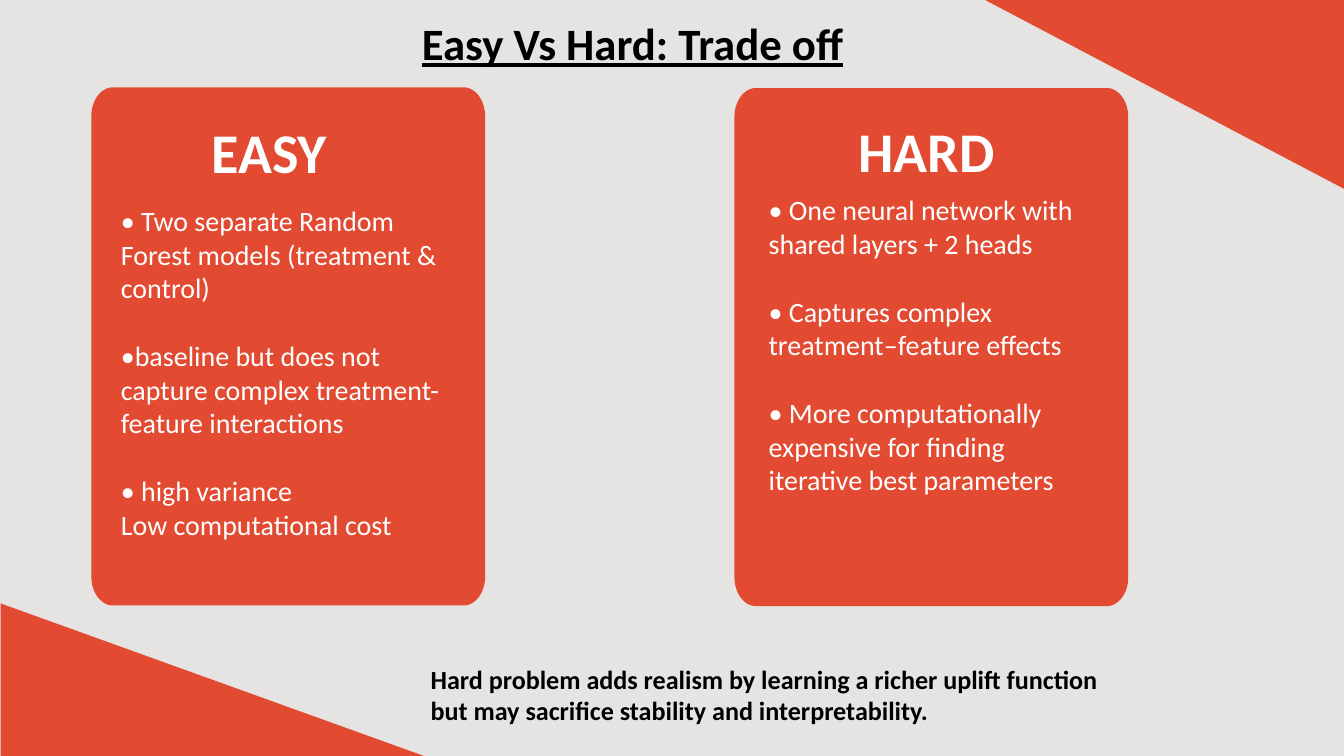
from dataclasses import dataclass
from math import cos, radians, sin

from pptx import Presentation
from pptx.dml.color import RGBColor
from pptx.enum.shapes import MSO_SHAPE
from pptx.enum.text import MSO_AUTO_SIZE
from pptx.util import Inches, Pt

FONT = "Calibri"
BACKGROUND, RED, WHITE, BLACK = "E5E4E2", "E24A32", "FFFFFF", "000000"
CARD_W, CARD_H = 5.86, 7.71
CORNER_X, CORNER_Y = 0.32, 0.43
ITEM_GAP = 36.6


@dataclass(frozen=True)
class Box:
    left: float
    top: float
    width: float
    height: float


@dataclass(frozen=True)
class Label:
    box: Box
    lines: tuple[str, ...]
    size: float
    color: str
    bold: bool = True
    underline: bool = False
    wrap: bool = True


@dataclass(frozen=True)
class Card:
    left: float
    top: float
    heading: Label
    body: Label


TRIANGLES = (
    (Box(14.64, -0.01, 5.36, 2.82), 180),
    (Box(0.01, 8.98, 6.3, 2.27), 0),
)
TITLE = Label(Box(6.18, 0.19, 10.96, 0.91), ("Easy Vs Hard: Trade off",),
              48, BLACK, underline=True)
CARDS = (
    Card(
        1.36, 1.3,
        Label(Box(3.05, 1.7, 1.96, 1.11), ("EASY",), 60, WHITE, wrap=False),
        Label(Box(1.7, 2.98, 5.09, 5.15), (
            "• Two separate Random Forest models (treatment & control)",
            "•baseline but does not capture complex treatment-feature interactions",
            "• high variance",
            "Low computational cost",
        ), 30, WHITE, bold=False),
    ),
    Card(
        10.93, 1.31,
        Label(Box(12.68, 1.69, 2.71, 1.11), ("HARD",), 60, WHITE),
        Label(Box(11.34, 2.82, 5.03, 4.64), (
            "• One neural network with shared layers + 2 heads",
            "• Captures complex treatment–feature effects",
            "• More computationally expensive for finding iterative best parameters",
        ), 30, WHITE, bold=False),
    ),
)
CONCLUSION = Label(Box(6.31, 9.82, 10.83, 1.04), (
    "Hard problem adds realism by learning a richer uplift function",
    "but may sacrifice stability and interpretability.",
), 28, BLACK)


def rgb(value: str) -> RGBColor:
    return RGBColor.from_string(value)


def place(box: Box) -> tuple[Inches, Inches, Inches, Inches]:
    return Inches(box.left), Inches(box.top), Inches(box.width), Inches(box.height)


def paint(shape, color: str) -> None:
    shape.shadow.inherit = False
    shape.fill.solid()
    shape.fill.fore_color.rgb = rgb(color)
    shape.line.fill.background()


def add_triangle(s, box: Box, rotation: float) -> None:
    sp = s.shapes.add_shape(MSO_SHAPE.RIGHT_TRIANGLE, *place(box))
    sp.rotation = rotation
    paint(sp, RED)


def add_label(s, label: Label) -> None:
    sp = s.shapes.add_textbox(*place(label.box))
    tf = sp.text_frame
    tf.word_wrap = label.wrap
    tf.auto_size = MSO_AUTO_SIZE.SHAPE_TO_FIT_TEXT
    tf.text = "\n".join(label.lines)
    for i, p in enumerate(tf.paragraphs):
        if i and p.text.startswith("•"):
            p.space_before = Pt(ITEM_GAP)
        for r in p.runs:
            r.font.name = FONT
            r.font.size = Pt(label.size)
            r.font.bold = label.bold
            r.font.underline = label.underline
            r.font.color.rgb = rgb(label.color)


def card_outline(left: float, top: float) -> list[tuple[Inches, Inches]]:
    """Trace a rectangle with elliptical corners, clockwise from the right edge."""
    near_x, far_x = left + CORNER_X, left + CARD_W - CORNER_X
    near_y, far_y = top + CORNER_Y, top + CARD_H - CORNER_Y
    centres = ((far_x, far_y), (near_x, far_y), (near_x, near_y), (far_x, near_y))
    return [
        (Inches(x + CORNER_X * cos(radians(angle))),
         Inches(y + CORNER_Y * sin(radians(angle))))
        for corner, (x, y) in enumerate(centres)
        for angle in range(corner * 90, corner * 90 + 91, 6)
    ]


def add_card(s, card: Card) -> None:
    start, *points = card_outline(card.left, card.top)
    builder = s.shapes.build_freeform(*start)
    builder.add_line_segments(points, close=True)
    paint(builder.convert_to_shape(), RED)
    add_label(s, card.heading)
    add_label(s, card.body)


def main() -> None:
    prs = Presentation()
    prs.slide_width, prs.slide_height = Inches(20), Inches(11.25)
    s = prs.slides.add_slide(prs.slide_layouts[6])
    s.background.fill.solid()
    s.background.fill.fore_color.rgb = rgb(BACKGROUND)
    for box, rotation in TRIANGLES:
        add_triangle(s, box, rotation)
    add_label(s, TITLE)
    for card in CARDS:
        add_card(s, card)
    add_label(s, CONCLUSION)
    prs.save("out.pptx")


if __name__ == "__main__":
    main()
